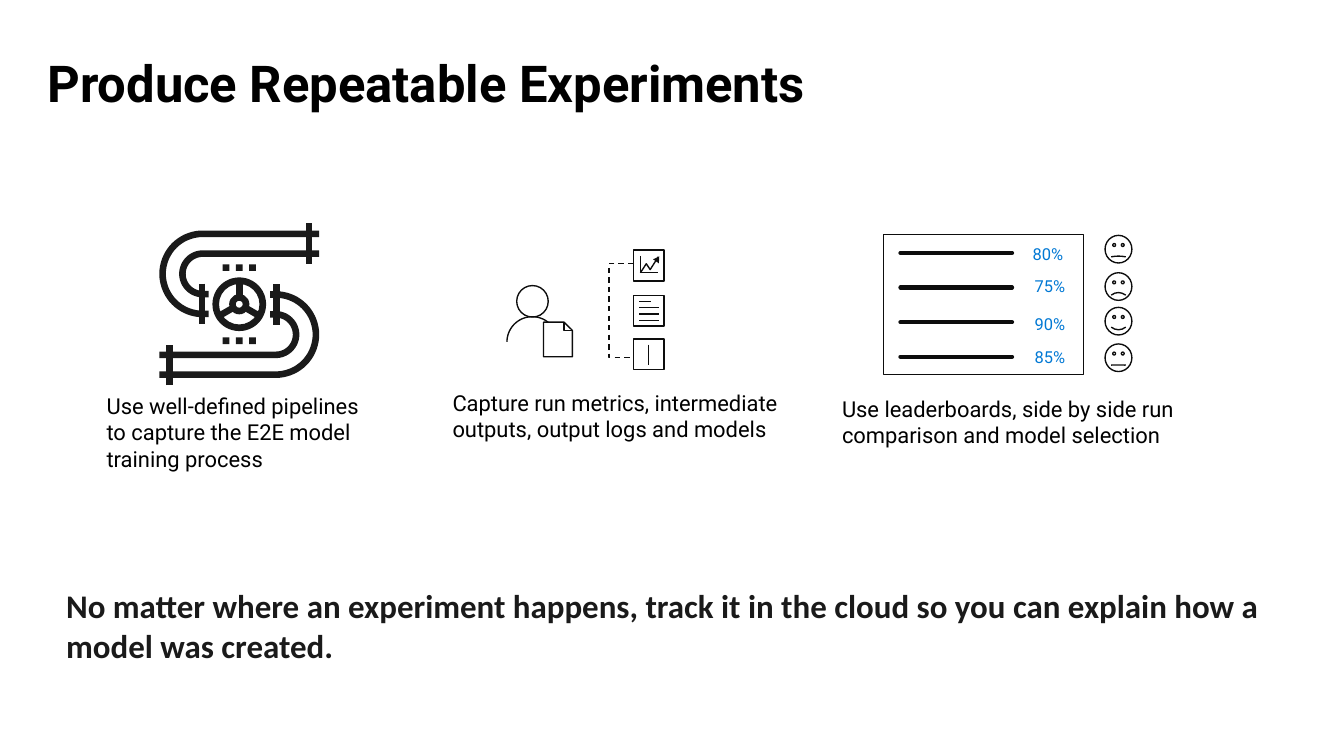
"""Builds the slide on producing repeatable experiments."""
from math import cos, radians, sin

from pptx import Presentation
from pptx.enum import shapes, text
from pptx.oxml import ns, xmlchemy
from pptx.dml.color import RGBColor
from pptx.enum.dml import MSO_LINE
from pptx.util import Cm, Pt

COLORS = {"black": "000000", "ink": "0D0D0D", "dark": "1A1A1A", "blue": "0078D4", "white": "FFFFFF"}
PRESETS = shapes.MSO_SHAPE
PIPE_WIDTH = 0.17
PIPE_POINTS = 4.8


def rgb(name):
    return RGBColor.from_string(COLORS[name])


def add_text(slide, box, content, size, color="black", font="Roboto", bold=False,
             insets=(0, 0), spacing=None):
    textbox = slide.shapes.add_textbox(*map(Cm, box))
    frame = textbox.text_frame
    frame.word_wrap = True
    frame.vertical_anchor = text.MSO_ANCHOR.TOP
    frame.margin_left = frame.margin_right = Cm(insets[0])
    frame.margin_top = Cm(insets[1])
    frame.margin_bottom = 0
    paragraph = frame.paragraphs[0]
    paragraph.text = content
    paragraph.line_spacing = spacing
    paragraph.font.size = Pt(size)
    paragraph.font.name = font
    paragraph.font.bold = bold
    paragraph.font.color.rgb = rgb(color)


def style(shape, fill=None, line="ink", width=1):
    shape.shadow.inherit = False
    if fill:
        shape.fill.solid()
        shape.fill.fore_color.rgb = rgb(fill)
    else:
        shape.fill.background()
    if line:
        shape.line.color.rgb = rgb(line)
        shape.line.width = Pt(width)
    else:
        shape.line.fill.background()


def add_preset(slide, preset, box, adjustment=None, fill=None, line="ink"):
    shape = slide.shapes.add_shape(preset, *map(Cm, box))
    if adjustment is not None:
        shape.adjustments[0] = adjustment
    style(shape, fill, line)
    return shape


def add_centered(slide, preset, center, side, adjustment=None):
    x, y = center
    add_preset(slide, preset, (x - side / 2, y - side / 2, side, side), adjustment, "dark", None)


def add_line(slide, start, end, color="ink", width=1, cap="flat"):
    connector = slide.shapes.add_connector(
        shapes.MSO_CONNECTOR.STRAIGHT, *map(Cm, (*start, *end)))
    connector.line.color.rgb = rgb(color)
    connector.line.width = Pt(width)
    properties = connector._element.spPr
    properties.find(ns.qn("a:ln")).set("cap", cap)
    properties.append(xmlchemy.OxmlElement("a:effectLst"))


def add_polyline(slide, points, color="ink", width=1):
    corners = [(Cm(x), Cm(y)) for x, y in points]
    builder = slide.shapes.build_freeform(*corners[0])
    builder.add_line_segments(corners[1:], close=False)
    shape = builder.convert_to_shape()
    style(shape, None, color, width)
    return shape


def polar(center, radius, degrees):
    angle = radians(degrees)
    return center[0] + radius * cos(angle), center[1] - radius * sin(angle)


def arc(center, radius, start, end, step=5):
    return [polar(center, radius, degrees) for degrees in range(start, end + 1, step)]


def draw_pipeline(slide):
    wheel = (6.15, 7.82)
    bend = (5.21, 7.04)
    pipes = [[(8.2, bend[1] - radius), *arc(bend, radius, 90, 270), (5.36, bend[1] + radius)]
             for radius in (1.03, 0.52)]
    flanges = [[(x, y), (x, y + 1.04)] for x, y in ((7.94, 5.74), (5.19, 7.29))]
    for points in pipes + flanges:
        turned = [(2 * wheel[0] - x, 2 * wheel[1] - y) for x, y in points]
        for half in (points, turned):
            add_polyline(slide, half, "dark", PIPE_POINTS)
    for diameter in (1.38, 0.52):
        add_centered(slide, PRESETS.DONUT, wheel, diameter, PIPE_WIDTH / diameter)
    for degrees in (90, 210, 330):
        add_line(slide, polar(wheel, 0.2, degrees), polar(wheel, 0.6, degrees), "dark", PIPE_POINTS)
    for row in (-0.94, 0.94):
        for column in (-0.34, 0, 0.34):
            add_centered(slide, PRESETS.RECTANGLE, (wheel[0] + column, wheel[1] + row), PIPE_WIDTH)


def draw_run_capture(slide):
    add_preset(slide, PRESETS.OVAL, (13.28, 7.34, 0.81, 0.81))
    add_polyline(slide, arc((13.68, 8.79), 0.65, 0, 180))
    add_preset(slide, PRESETS.SNIP_1_RECTANGLE, (13.97, 8.28, 0.74, 0.89), 0.287, "white")
    add_polyline(slide, [(14.5, 8.28), (14.5, 8.49), (14.71, 8.49)])
    bracket = add_polyline(slide, [(16.28, 6.78), (15.65, 6.78), (15.65, 9.19), (16.28, 9.19)])
    bracket.line.dash_style = MSO_LINE.DASH
    for top in (6.43, 7.59, 8.71):
        add_preset(slide, PRESETS.RECTANGLE, (16.28, top, 0.79, 0.79))
    add_polyline(slide, [(16.46, 6.58), (16.46, 7.01), (16.92, 7.01)])
    add_polyline(slide, [(16.46, 7.01), (16.61, 6.78), (16.71, 6.93), (16.92, 6.6)])
    arrowhead = add_preset(slide, PRESETS.ISOSCELES_TRIANGLE, (16.81, 6.58, 0.18, 0.15),
                           fill="ink", line=None)
    arrowhead.rotation = 34.9
    for row, right in enumerate((16.74, 16.94, 16.94, 16.94)):
        y = 7.75 + 0.16 * row
        add_line(slide, (16.43, y), (right, y))
    add_line(slide, (16.66, 8.86), (16.66, 9.37))


def draw_leaderboard(slide):
    add_preset(slide, PRESETS.RECTANGLE, (22.71, 6.02, 5.13, 3.61))
    entries = [("80%", 26.54, 6.32, 6.05, -0.013), ("75%", 26.59, 7.16, 7.01, -0.047),
               ("90%", 26.59, 8.13, 7.9, 0.047), ("85%", 26.59, 8.97, 8.84, -0.003)]
    for row, (score, left, top, face_top, smile) in enumerate(entries):
        y = 6.5 + 0.89 * row
        add_line(slide, (23.14, y), (26.01, y), width=3, cap="rnd")
        add_text(slide, (left, top, 1.68, 0.46), score, 12, "blue", spacing=0.9)
        add_preset(slide, PRESETS.SMILEY_FACE, (28.4, face_top, 0.69, 0.71), smile)


def main():
    presentation = Presentation()
    presentation.slide_width = Cm(34.54)
    presentation.slide_height = Cm(19.43)
    slide = presentation.slides.add_slide(presentation.slide_layouts[6])
    add_text(slide, (1.22, 0.86, 32.13, 2.16), "Produce Repeatable Experiments", 37,
             bold=True, insets=(0, 0.46))
    captions = [
        ((2.49, 9.96, 7.14, 2.31),
         "Use well-defined pipelines to capture the E2E model training process"),
        ((11.38, 9.88, 10.11, 1.63),
         "Capture run metrics, intermediate outputs, output logs and models"),
        ((21.39, 10.03, 11.94, 1.63),
         "Use leaderboards, side by side run comparison and model selection"),
    ]
    for box, caption in captions:
        add_text(slide, box, caption, 16, insets=(0.25, 0.13))
    draw_pipeline(slide)
    draw_run_capture(slide)
    draw_leaderboard(slide)
    add_text(slide, (1.7, 15.06, 31.62, 1.75),
             "No matter where an experiment happens, track it in the cloud "
             "so you can explain how a model was created.",
             24, "dark", "Calibri", True)
    presentation.save("out.pptx")


if __name__ == "__main__":
    main()
